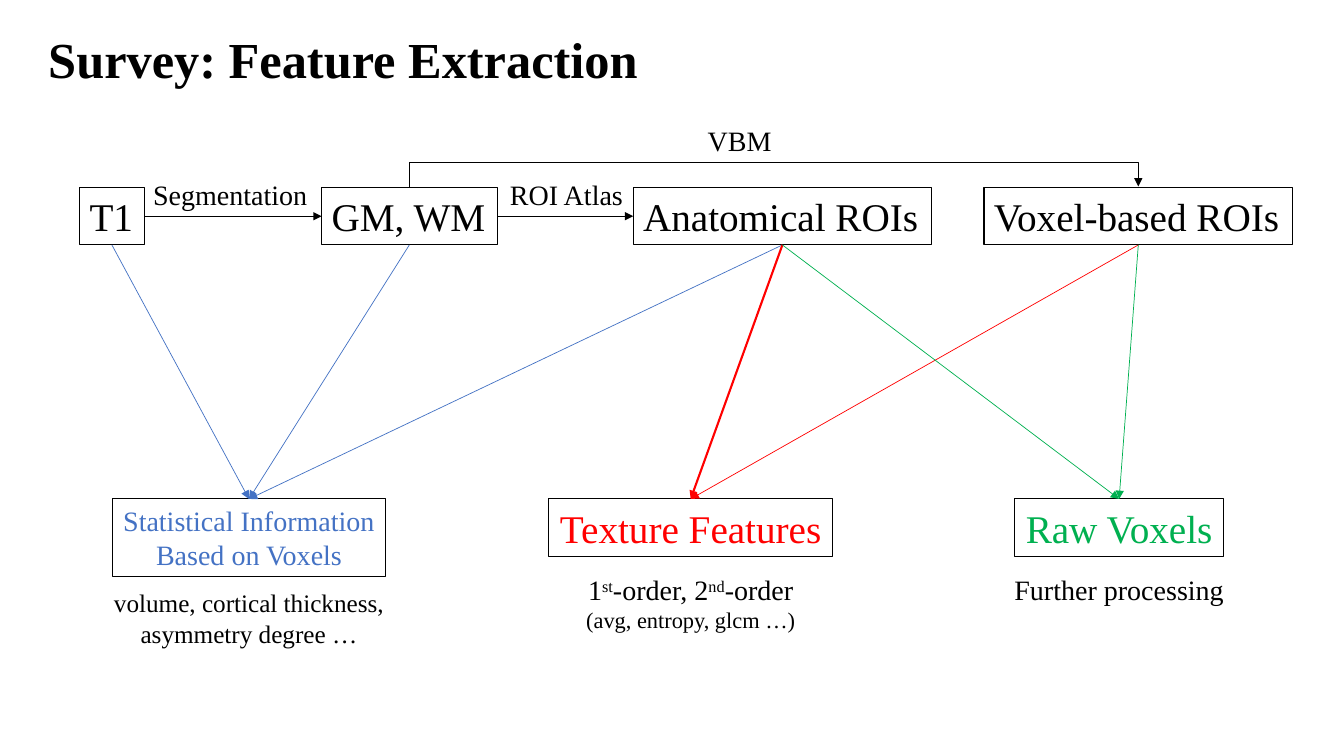
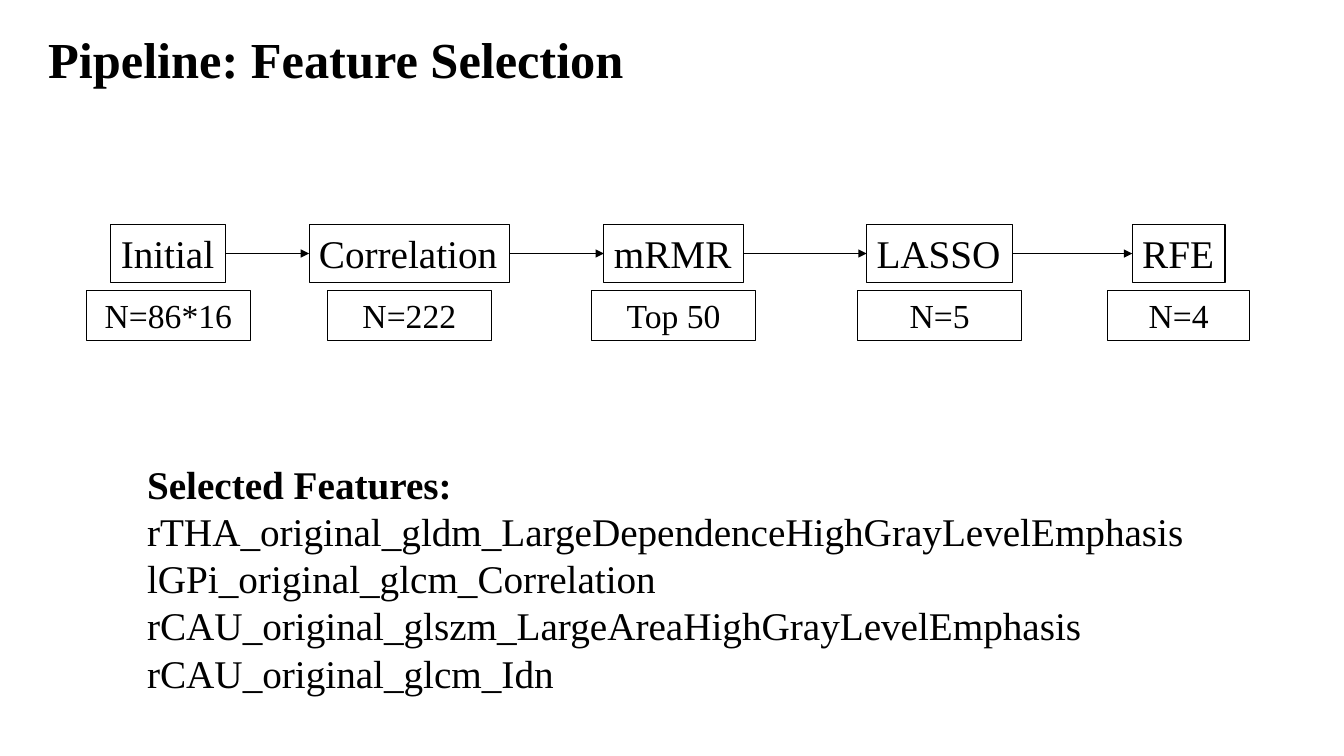
import pptx
import pptx.util
import pptx.dml.color
import pptx.enum.shapes
import pptx.enum.text
import pptx.oxml.ns
import pptx.oxml.xmlchemy

Inches = pptx.util.Inches
Pt = pptx.util.Pt
ALIGN = pptx.enum.text.PP_ALIGN
CONNECTOR = pptx.enum.shapes.MSO_CONNECTOR

FONT = "Times New Roman"
BLACK, BLUE, RED, GREEN = "000000", "4472C4", "FF0000", "00B050"
TOP, LEFT, BOTTOM, RIGHT = range(4)
BOX_HEIGHT = 0.57


def color(hex_code):
    return pptx.dml.color.RGBColor.from_string(hex_code)


def add_element(parent, tag, **attributes):
    element = pptx.oxml.xmlchemy.OxmlElement(tag)
    for key, value in attributes.items():
        element.set(key, value)
    parent.append(element)


def write(shape, *paragraphs, size=20, fill=BLACK, bold=False, align=ALIGN.LEFT, wrap=False):
    frame = shape.text_frame
    frame.word_wrap = wrap
    frame.auto_size = pptx.enum.text.MSO_AUTO_SIZE.SHAPE_TO_FIT_TEXT
    frame.vertical_anchor = pptx.enum.text.MSO_ANCHOR.TOP
    for index, content in enumerate(paragraphs):
        paragraph = frame.add_paragraph() if index else frame.paragraphs[0]
        paragraph.alignment = align
        runs = [(content, {})] if isinstance(content, str) else content
        for text, style in runs:
            run = paragraph.add_run()
            run.text = text
            run.font.name = FONT
            run.font.size = Pt(style.get("size", size))
            run.font.bold = style.get("bold", bold)
            run.font.color.rgb = color(fill)
            if style.get("superscript"):
                run.font._element.set("baseline", "30000")


def label(slide, left, top, width, height, *paragraphs, **style):
    box = slide.shapes.add_textbox(Inches(left), Inches(top), Inches(width), Inches(height))
    write(box, *paragraphs, **style)


def framed(slide, left, top, width, height, *paragraphs, **style):
    box = slide.shapes.add_shape(
        pptx.enum.shapes.MSO_SHAPE.RECTANGLE,
        Inches(left), Inches(top), Inches(width), Inches(height))
    box.shadow.inherit = False
    box.fill.background()
    box.line.color.rgb = color(BLACK)
    box.line.width = Pt(0.75)
    write(box, *paragraphs, **style)
    return box


def arrow(slide, start, start_side, end, end_side, stroke=BLACK, width=0.5, kind=CONNECTOR.STRAIGHT):
    link = slide.shapes.add_connector(kind, 0, 0, 0, 0)
    link.begin_connect(start, start_side)
    link.end_connect(end, end_side)
    link.line.color.rgb = color(stroke)
    link.line.width = Pt(width)
    add_element(link.line._get_or_add_ln(), "a:tailEnd", type="triangle")
    add_element(link._element.spPr, "a:effectLst")
    return link


def bridge(slide, start, end, rise):
    link = arrow(slide, start, TOP, end, TOP, kind=CONNECTOR.ELBOW)
    span = link.end_x - link.begin_x
    middle = (link.begin_x + link.end_x) // 2
    depth = Inches(0.01)
    link.left, link.top = middle - depth // 2, start.top - (span + depth) // 2
    link.width, link.height = depth, span
    transform = link._element.spPr.find(pptx.oxml.ns.qn("a:xfrm"))
    for key, value in (("rot", "5400000"), ("flipH", "1"), ("flipV", "1")):
        transform.set(key, value)
    geometry = link._element.spPr.find(pptx.oxml.ns.qn("a:prstGeom"))
    guides = geometry.find(pptx.oxml.ns.qn("a:avLst"))
    add_element(guides, "a:gd", name="adj1", fmla=f"val {round(rise / 0.01 * 100000)}")


def titled_slide(deck, title, width):
    slide = deck.slides.add_slide(deck.slide_layouts[6])
    label(slide, 0.38, 0.23, width, 0.71, title, size=36, bold=True)
    return slide


def source_row(slide, left, top):
    t1, tissue, anatomical, voxel_based = [
        framed(slide, left + offset, top, width, BOX_HEIGHT, name, size=28)
        for name, offset, width in (
            ("T1", 0, 0.64), ("GM, WM", 2.4, 1.74),
            ("Anatomical ROIs", 5.49, 2.96), ("Voxel-based ROIs", 8.97, 3.06))]
    arrow(slide, t1, RIGHT, tissue, LEFT)
    arrow(slide, tissue, RIGHT, anatomical, LEFT)
    bridge(slide, tissue, voxel_based, 0.25)
    for step, offset, rise, width in (
            ("Segmentation", 0.63, 0.15, 1.74), ("ROI Atlas", 4.17, 0.15, 1.33),
            ("VBM", 6.13, 0.68, 0.84)):
        label(slide, left + offset, top - rise, width, 0.44, step)
    return t1, tissue, anatomical, voxel_based


def feature_group(slide, center, top, width, height, names, note_gap, note_size, notes, **style):
    box = framed(slide, center - width / 2, top, width, height, *names, align=ALIGN.CENTER, **style)
    note_width, note_height, size = note_size
    label(slide, center - note_width / 2, top + note_gap, note_width, note_height,
          *notes, size=size, align=ALIGN.CENTER)
    return box


def feature_row(slide, top):
    raised = {"superscript": True}
    orders = [("1", {}), ("st", raised), ("-order, 2", {}), ("nd", raised), ("-order", {})]
    statistics = feature_group(
        slide, 2.47, top, 2.71, 0.77, ["Statistical Information", "Based on Voxels"],
        0.83, (2.91, 0.71, 18), ["volume, cortical thickness,", "asymmetry degree …"], fill=BLUE)
    texture = feature_group(
        slide, 6.85, top, 2.82, BOX_HEIGHT, ["Texture Features"], 0.68, (2.29, 0.71, 20),
        [orders, [("(avg, entropy, glcm …)", {"size": 16})]], size=28, fill=RED)
    raw = feature_group(
        slide, 11.1, top, 2.07, BOX_HEIGHT, ["Raw Voxels"], 0.68, (2.29, 0.44, 20),
        ["Further processing"], size=28, fill=GREEN)
    return statistics, texture, raw


def survey_slide(deck):
    slide = titled_slide(deck, "Survey: Feature Extraction", 6.11)
    t1, tissue, anatomical, voxel_based = source_row(slide, 0.79, 1.86)
    statistics, texture, raw = feature_row(slide, 4.95)
    for source, feature, stroke, width in (
            (t1, statistics, BLUE, 0.5), (tissue, statistics, BLUE, 0.5),
            (anatomical, statistics, BLUE, 0.5), (voxel_based, texture, RED, 0.5),
            (anatomical, texture, RED, 1.5), (voxel_based, raw, GREEN, 0.5),
            (anatomical, raw, GREEN, 0.5)):
        arrow(slide, source, BOTTOM, feature, TOP, stroke, width)


def selection_stages(slide, left, top):
    previous = None
    for name, offset, width, count, count_width in (
            ("Initial", 0, 1.14, "N=86*16", 1.63),
            ("Correlation", 2.39, 1.99, "N=222", 1.63),
            ("mRMR", 5.01, 1.38, "Top 50", 1.63),
            ("LASSO", 7.65, 1.45, "N=5", 1.63),
            ("RFE", 10.02, 0.92, "N=4", 1.41)):
        center = left + offset
        stage = framed(slide, center - width / 2, top, width, BOX_HEIGHT, name, size=28)
        framed(slide, center - count_width / 2, top + 0.65, count_width, 0.5, count,
               size=24, align=ALIGN.CENTER, wrap=True)
        if previous:
            arrow(slide, previous, RIGHT, stage, LEFT)
        previous = stage


def pipeline_slide(deck):
    slide = titled_slide(deck, "Pipeline: Feature Selection", 5.97)
    selection_stages(slide, 1.67, 2.23)
    label(slide, 1.36, 4.52, 10.85, 2.46,
          [("Selected Features: ", {"bold": True}),
           ("rTHA_original_gldm_LargeDependenceHighGrayLevelEmphasis", {})],
          "lGPi_original_glcm_Correlation",
          "rCAU_original_glszm_LargeAreaHighGrayLevelEmphasis",
          "rCAU_original_glcm_Idn", size=28, wrap=True)


def main():
    deck = pptx.Presentation()
    deck.slide_width, deck.slide_height = Inches(13.33), Inches(7.5)
    survey_slide(deck)
    pipeline_slide(deck)
    deck.save("out.pptx")


if __name__ == "__main__":
    main()
